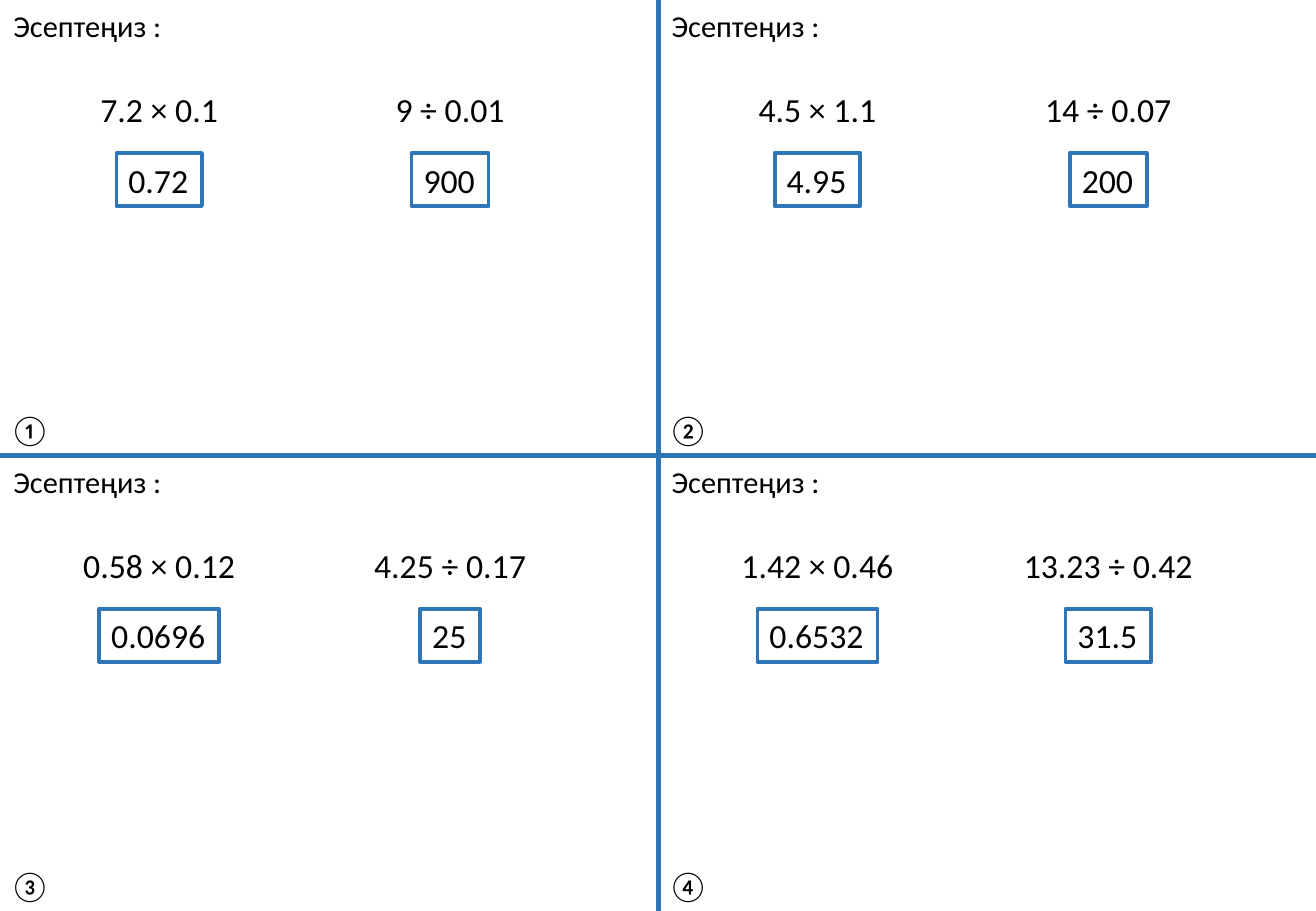
"""Build a slide of four numbered decimal exercise cards with boxed answers."""
from dataclasses import dataclass

import pptx
import pptx.dml.color
import pptx.enum.shapes
import pptx.enum.text
import pptx.oxml.ns
import pptx.slide
import pptx.text.text
import pptx.util
from lxml import etree

Cm = pptx.util.Cm
Align = pptx.enum.text.PP_ALIGN

COLOURS = {"blue": "2E75B6", "white": "FFFFFF", "black": "000000"}
FONT = "Calibri"
HEADING = "Эсептеңиз :"
SLIDE_WIDTH, SLIDE_HEIGHT = 27.51, 19.05
COLUMN_STEP, ROW_STEP = 13.76, 9.53
PROBLEM_CENTRES = (3.33, 9.41)
PROBLEM_HEIGHT = 1.11
LABEL_HEIGHT = 1.02


@dataclass(frozen=True)
class Problem:
    """An expression, the width of its box in centimetres and its answer."""
    expression: str
    width: float
    answer: str

    @property
    def answer_width(self) -> float:
        """Width of the answer frame, from its digits and decimal points."""
        dots = self.answer.count(".")
        digits = len(self.answer) - dots
        return 0.53 + 0.36 * digits + 0.18 * dots


@dataclass(frozen=True)
class Card:
    """A quarter of the slide with two problems."""
    number: str
    problems: tuple[Problem, Problem]


CARDS = (
    Card("①", (Problem("7.2 × 0.1", 3.0, "0.72"), Problem("9 ÷ 0.01", 2.82, "900"))),
    Card("②", (Problem("4.5 × 1.1", 3.0, "4.95"), Problem("14 ÷ 0.07", 3.18, "200"))),
    Card("③", (Problem("0.58 × 0.12", 3.71, "0.0696"), Problem("4.25 ÷ 0.17", 3.71, "25"))),
    Card("④", (Problem("1.42 × 0.46", 3.71, "0.6532"), Problem("13.23 ÷ 0.42", 4.06, "31.5"))),
)


def colour(name: str) -> pptx.dml.color.RGBColor:
    """Return a named colour."""
    return pptx.dml.color.RGBColor.from_string(COLOURS[name])


def write(frame: pptx.text.text.TextFrame, text: str, size: int, align: Align) -> None:
    """Fill a text frame with one formatted line."""
    frame.text = text
    frame.word_wrap = False
    frame.auto_size = pptx.enum.text.MSO_AUTO_SIZE.SHAPE_TO_FIT_TEXT
    para = frame.paragraphs[0]
    para.alignment = align
    for span in para.runs:
        span.font.name = FONT
        span.font.size = pptx.util.Pt(size)
        span.font.color.rgb = colour("black")


def add_label(page: pptx.slide.Slide, text: str, left: float, top: float, width: float) -> None:
    """Add a left-aligned label."""
    box = page.shapes.add_textbox(Cm(left), Cm(top), Cm(width), Cm(LABEL_HEIGHT))
    write(box.text_frame, text, 18, Align.LEFT)


def add_problem(page: pptx.slide.Slide, problem: Problem, centre: float, top: float) -> None:
    """Add an expression and its framed answer, centred on one axis."""
    box = page.shapes.add_textbox(
        Cm(centre - problem.width / 2), Cm(top + 1.73), Cm(problem.width), Cm(PROBLEM_HEIGHT)
    )
    write(box.text_frame, problem.expression, 20, Align.CENTER)
    answer = page.shapes.add_shape(
        pptx.enum.shapes.MSO_SHAPE.RECTANGLE,
        Cm(centre - problem.answer_width / 2),
        Cm(top + 3.2),
        Cm(problem.answer_width),
        Cm(PROBLEM_HEIGHT),
    )
    answer.shadow.inherit = False
    answer.fill.solid()
    answer.fill.fore_color.rgb = colour("white")
    answer.line.color.rgb = colour("blue")
    answer.line.width = pptx.util.Pt(2.25)
    write(answer.text_frame, problem.answer, 20, Align.JUSTIFY)


def add_card(page: pptx.slide.Slide, card: Card, left: float, top: float) -> None:
    """Add the heading, number and problems of one card."""
    add_label(page, HEADING, left + 0.03, top + 0.03, 3.66)
    add_label(page, card.number, left - 0.04, top + 8.47, 1.37)
    for centre, problem in zip(PROBLEM_CENTRES, card.problems):
        add_problem(page, problem, left + centre, top)


def add_divider(page: pptx.slide.Slide, x1: float, y1: float, x2: float, y2: float) -> None:
    """Add a line between the cards."""
    divider = page.shapes.add_connector(
        pptx.enum.shapes.MSO_CONNECTOR.STRAIGHT, Cm(x1), Cm(y1), Cm(x2), Cm(y2)
    )
    divider.line.color.rgb = colour("blue")
    divider.line.width = pptx.util.Pt(3)
    etree.SubElement(divider.element.spPr, pptx.oxml.ns.qn("a:effectLst"))


def main() -> None:
    """Create and save the deck."""
    deck = pptx.Presentation()
    deck.slide_width, deck.slide_height = Cm(SLIDE_WIDTH), Cm(SLIDE_HEIGHT)
    page = deck.slides.add_slide(deck.slide_layouts[6])
    add_divider(page, COLUMN_STEP, 0, COLUMN_STEP, SLIDE_HEIGHT)
    add_divider(page, SLIDE_WIDTH, ROW_STEP, 0, ROW_STEP)
    for index, card in enumerate(CARDS):
        row, column = divmod(index, 2)
        add_card(page, card, column * COLUMN_STEP, row * ROW_STEP)
    deck.save("out.pptx")


if __name__ == "__main__":
    main()
